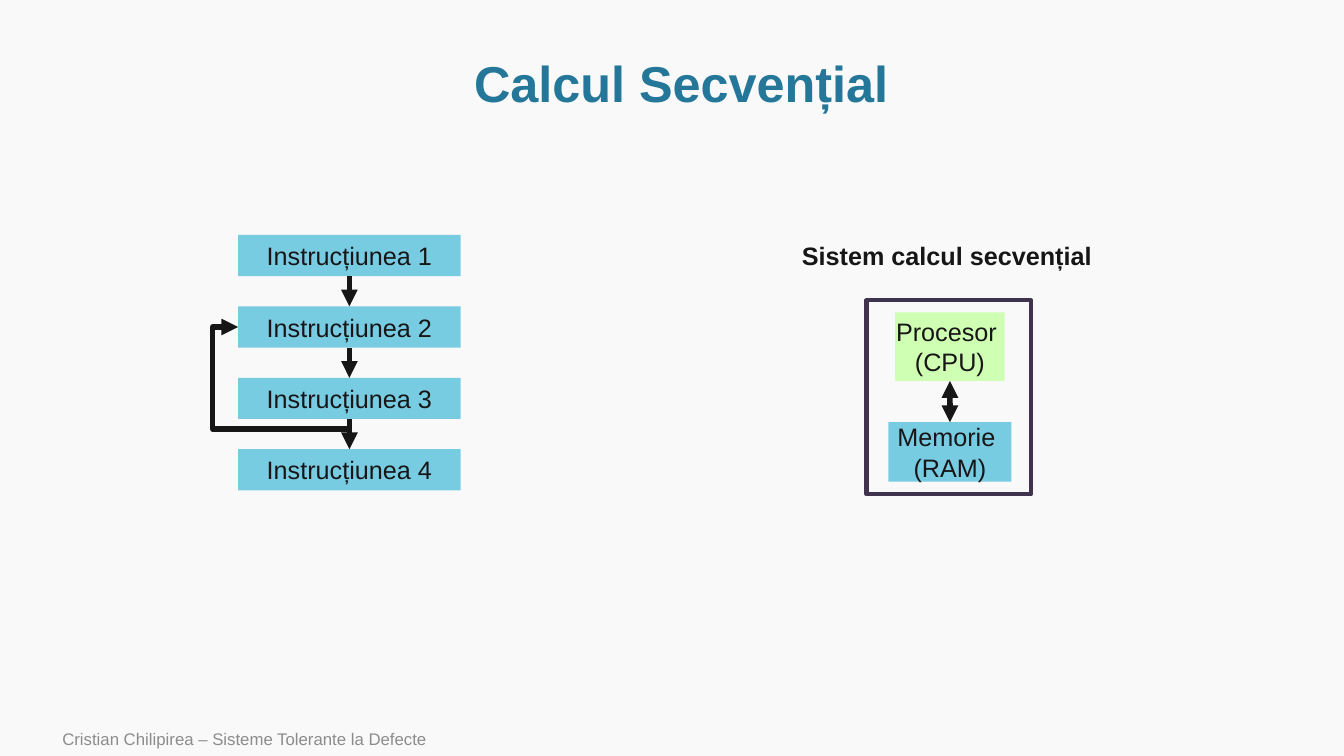
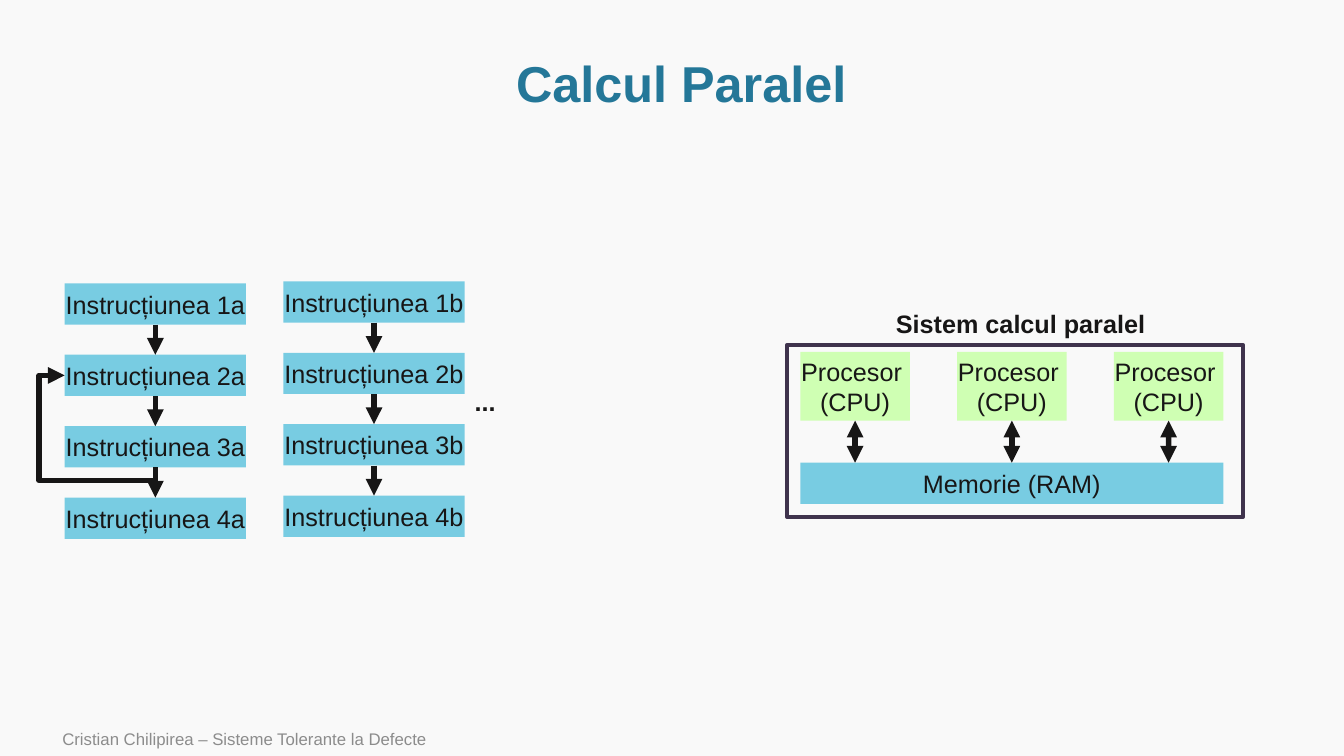
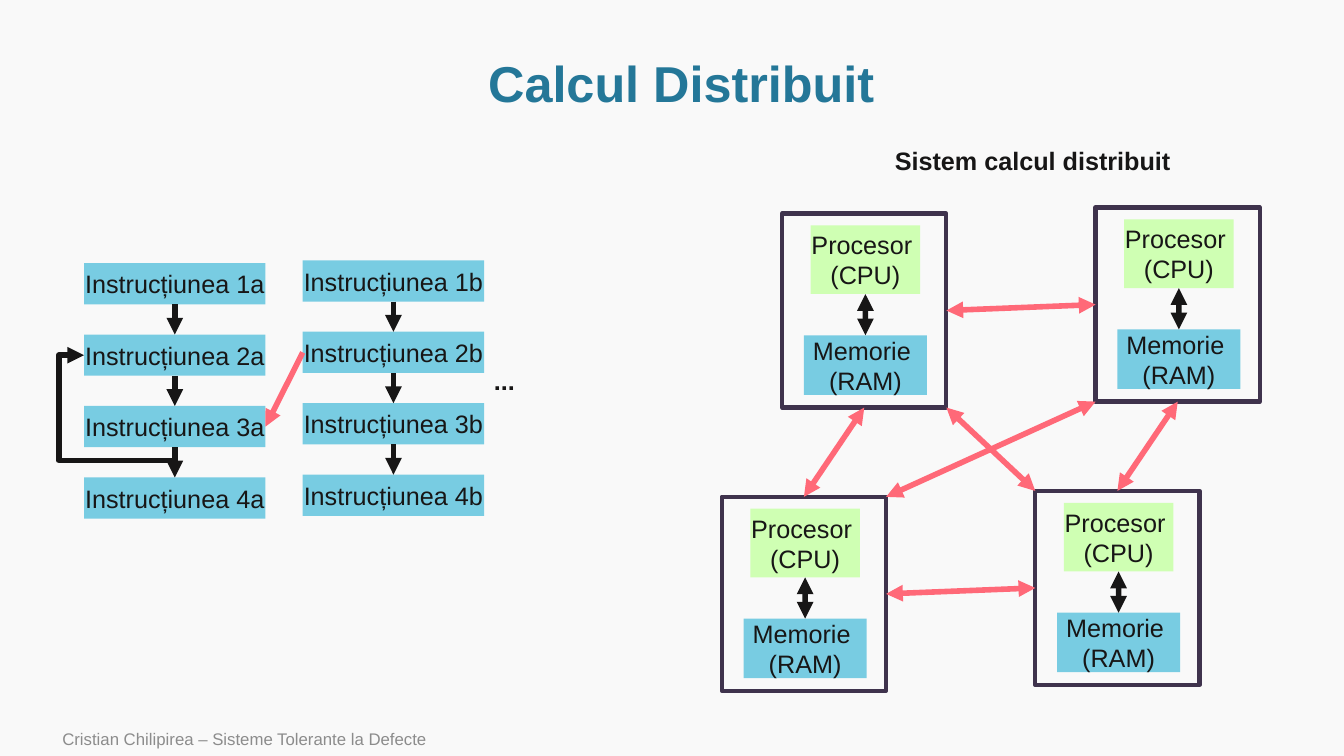
from itertools import pairwise

from lxml.etree import SubElement
from pptx import Presentation
from pptx.dml.color import RGBColor
from pptx.enum.shapes import MSO_CONNECTOR, MSO_SHAPE
from pptx.enum.text import MSO_ANCHOR, MSO_AUTO_SIZE, PP_ALIGN
from pptx.oxml.ns import qn
from pptx.util import Cm, Pt

BACKGROUND, TITLE, FOOTER, INK = "F9F9F9", "247798", "8C8C8C", "171616"
BLUE, GREEN, FRAME, RED = "78CCE2", "CFFFB3", "3F334D", "FF6978"
FONT = "Arial"
FOOTER_TEXT = "Cristian Chilipirea – Sisteme Tolerante la Defecte"
PROCESSOR = ["Procesor ", "(CPU)"]
MEMORY = ["Memorie ", "(RAM)"]
TOP, LEFT, BOTTOM, RIGHT = range(4)

BOX_HEIGHT, BOX_STEP = 1.04, 1.8
CPU_WIDTH, CPU_HEIGHT = 2.76, 1.73
RAM_WIDTH, RAM_HEIGHT = 3.1, 1.5
NODE_WIDTH, NODE_HEIGHT = 4.14, 4.89
LOOP_REACH = 0.64

SLIDES = [
    {
        "title": "Calcul Secvențial",
        "heading": ("Sistem calcul secvențial", 19.96, 5.92, 7.9),
        "stacks": [{"suffix": "", "at": (6, 5.92), "width": 5.61, "loop": 0.25}],
        "nodes": {"single": (21.84, 7.57)},
    },
    {
        "title": "Calcul Paralel",
        "heading": ("Sistem calcul paralel", 22.33, 7.65, 6.86),
        "stacks": [
            {"suffix": "a", "at": (1.63, 7.14), "width": 4.57, "loop": 0.33},
            {"suffix": "b", "at": (7.14, 7.09), "width": 4.57, "dots": True},
        ],
        "shared": {"at": (19.84, 8.69), "size": (11.48, 4.34), "processors": 3},
    },
    {
        "title": "Calcul Distribuit",
        "heading": ("Sistem calcul distribuit", 22.3, 3.53, 7.59),
        "stacks": [
            {"suffix": "a", "at": (2.12, 6.63), "width": 4.57, "loop": 0.33},
            {"suffix": "b", "at": (7.63, 6.56), "width": 4.57, "dots": True},
        ],
        "message": ("2b", "3a"),
        "nodes": {
            "northwest": (19.71, 5.38),
            "northeast": (27.61, 5.23),
            "southwest": (18.19, 12.52),
            "southeast": (26.09, 12.37),
        },
        "links": [
            ("northeast", LEFT, "northwest", RIGHT),
            ("southeast", LEFT, "southwest", RIGHT),
            ("northwest", BOTTOM, "southwest", TOP),
            ("northeast", BOTTOM, "southeast", TOP),
        ],
        "diagonals": [
            ("northwest", (1, 1), "southeast", (0, 0)),
            ("northeast", (0, 1), "southwest", (1, 0)),
        ],
    },
]


def color(value):
    return RGBColor.from_string(value)


def write(shape, text, size=18, ink=INK, bold=False, align=PP_ALIGN.LEFT,
          anchor=MSO_ANCHOR.MIDDLE, wrap=False, fit=MSO_AUTO_SIZE.NONE, spacing=None):
    frame = shape.text_frame
    frame.word_wrap = wrap
    frame.auto_size = fit
    frame.vertical_anchor = anchor
    lines = [text] if isinstance(text, str) else text
    for index, line in enumerate(lines):
        paragraph = frame.add_paragraph() if index else frame.paragraphs[0]
        paragraph.alignment = align
        if spacing:
            paragraph.line_spacing = spacing
        run = paragraph.add_run()
        run.text = line
        run.font.name, run.font.size, run.font.bold = FONT, Pt(size), bold
        run.font.color.rgb = color(ink)


def add_text(slide, text, left, top, width, height, **style):
    shape = slide.shapes.add_textbox(Cm(left), Cm(top), Cm(width), Cm(height))
    write(shape, text, **style)


def add_label(slide, text, left, top, width):
    add_text(slide, text, left, top, width, 1.02, bold=True,
             anchor=MSO_ANCHOR.TOP, fit=MSO_AUTO_SIZE.SHAPE_TO_FIT_TEXT)


def add_rectangle(slide, left, top, width, height, fill=None, text=None):
    shape = slide.shapes.add_shape(
        MSO_SHAPE.RECTANGLE, Cm(left), Cm(top), Cm(width), Cm(height))
    shape.shadow.inherit = False
    if fill:
        shape.fill.solid()
        shape.fill.fore_color.rgb = color(fill)
        shape.line.fill.background()
        write(shape, text, align=PP_ALIGN.CENTER)
    else:
        shape.fill.background()
        shape.line.color.rgb = color(FRAME)
        shape.line.width = Pt(3)
    return shape


def side(shape, site):
    across, down = [(0.5, 0), (0, 0.5), (0.5, 1), (1, 0.5)][site]
    return corner(shape, (across, down))


def corner(shape, share):
    return (round(shape.left + share[0] * shape.width),
            round(shape.top + share[1] * shape.height))


def add_arrow(slide, start, end, ink=INK, double=False, kind=MSO_CONNECTOR.STRAIGHT):
    connector = slide.shapes.add_connector(kind, *start, *end)
    connector.line.color.rgb = color(ink)
    connector.line.width = Pt(4)
    line = connector.line._get_or_add_ln()
    for tag in (["a:headEnd"] if double else []) + ["a:tailEnd"]:
        SubElement(line, qn(tag), type="triangle")
    SubElement(connector.element.spPr, qn("a:effectLst"))
    return connector


def join(slide, first, first_site, second, second_site, **style):
    connector = add_arrow(slide, side(first, first_site), side(second, second_site), **style)
    connector.begin_connect(first, first_site)
    connector.end_connect(second, second_site)
    return connector


def add_loop(slide, source, target, drop):
    connector = join(slide, source, BOTTOM, target, LEFT, kind=MSO_CONNECTOR.ELBOW)
    start_x, start_y = side(source, BOTTOM)
    end_x, end_y = side(target, LEFT)
    across, down = start_x - end_x, start_y - end_y
    connector.left = (start_x + end_x - down) // 2
    connector.top = (start_y + end_y - across) // 2
    connector.width, connector.height = down, across
    properties = connector.element.spPr
    transform = properties.find(qn("a:xfrm"))
    for name, value in (("rot", "5400000"), ("flipH", "1"), ("flipV", "0")):
        transform.set(name, value)
    geometry = properties.find(qn("a:prstGeom"))
    geometry.set("prst", "bentConnector4")
    guides = geometry.find(qn("a:avLst"))
    shares = (-Cm(drop) / down, 1 + Cm(LOOP_REACH) / across)
    for index, share in enumerate(shares, 1):
        SubElement(guides, qn("a:gd"), name=f"adj{index}", fmla=f"val {round(share * 100000)}")


def add_stack(slide, suffix, at, width, loop=None, dots=False):
    left, top = at
    boxes = {}
    for index in range(4):
        name = f"{index + 1}{suffix}"
        boxes[name] = add_rectangle(slide, left, top + index * BOX_STEP, width, BOX_HEIGHT,
                                    BLUE, f"Instrucțiunea {name}")
    for upper, lower in pairwise(boxes.values()):
        join(slide, upper, BOTTOM, lower, TOP)
    if loop:
        add_loop(slide, boxes[f"3{suffix}"], boxes[f"2{suffix}"], loop)
    if dots:
        add_label(slide, "...", left + width, top + 2.52, 1.04)
    return boxes


def add_node(slide, left, top):
    memory = add_rectangle(slide, left + 0.55, top + 3.07, RAM_WIDTH, RAM_HEIGHT, BLUE, MEMORY)
    processor = add_rectangle(slide, left + 0.72, top + 0.3, CPU_WIDTH, CPU_HEIGHT,
                              GREEN, PROCESSOR)
    join(slide, processor, BOTTOM, memory, TOP, double=True)
    return add_rectangle(slide, left, top, NODE_WIDTH, NODE_HEIGHT)


def add_shared_system(slide, at, size, processors):
    left, top = at[0] + 0.33, at[1] + 0.18
    step = 3.95
    memory = add_rectangle(slide, left, top + 2.79, (processors - 1) * step + CPU_WIDTH,
                           BOX_HEIGHT, BLUE, "Memorie (RAM)")
    for index in range(processors):
        processor = add_rectangle(slide, left + index * step, top, CPU_WIDTH, CPU_HEIGHT,
                                  GREEN, PROCESSOR)
        start = side(processor, BOTTOM)
        connector = add_arrow(slide, start, (start[0], memory.top), double=True)
        connector.begin_connect(processor, BOTTOM)
        if index == processors // 2:
            connector.end_connect(memory, TOP)
    add_rectangle(slide, *at, *size)


def add_slide(presentation, content):
    slide = presentation.slides.add_slide(presentation.slide_layouts[5])
    title = slide.shapes.title
    title.left, title.top, title.width, title.height = Cm(2.57), Cm(1.3), Cm(29.2), Cm(1.75)
    write(title, content["title"], size=36, ink=TITLE, bold=True, wrap=True,
          align=PP_ALIGN.CENTER, spacing=0.9)
    add_text(slide, FOOTER_TEXT, 1.32, 18.19, 21.34, 0.86, size=12, ink=FOOTER, wrap=True)
    add_label(slide, *content["heading"])

    boxes = {}
    for stack in content["stacks"]:
        boxes.update(add_stack(slide, **stack))
    if "message" in content:
        sender, receiver = content["message"]
        join(slide, boxes[sender], LEFT, boxes[receiver], RIGHT, ink=RED)
    if "shared" in content:
        add_shared_system(slide, **content["shared"])

    nodes = {name: add_node(slide, *at) for name, at in content.get("nodes", {}).items()}
    for first, first_site, second, second_site in content.get("links", []):
        join(slide, nodes[first], first_site, nodes[second], second_site, ink=RED, double=True)
    for first, first_corner, second, second_corner in content.get("diagonals", []):
        add_arrow(slide, corner(nodes[first], first_corner),
                  corner(nodes[second], second_corner), ink=RED, double=True)


def main():
    presentation = Presentation()
    presentation.slide_width, presentation.slide_height = Cm(33.87), Cm(19.05)
    background = presentation.slide_master.background.fill
    background.solid()
    background.fore_color.rgb = color(BACKGROUND)
    for content in SLIDES:
        add_slide(presentation, content)
    presentation.save("out.pptx")


if __name__ == "__main__":
    main()
